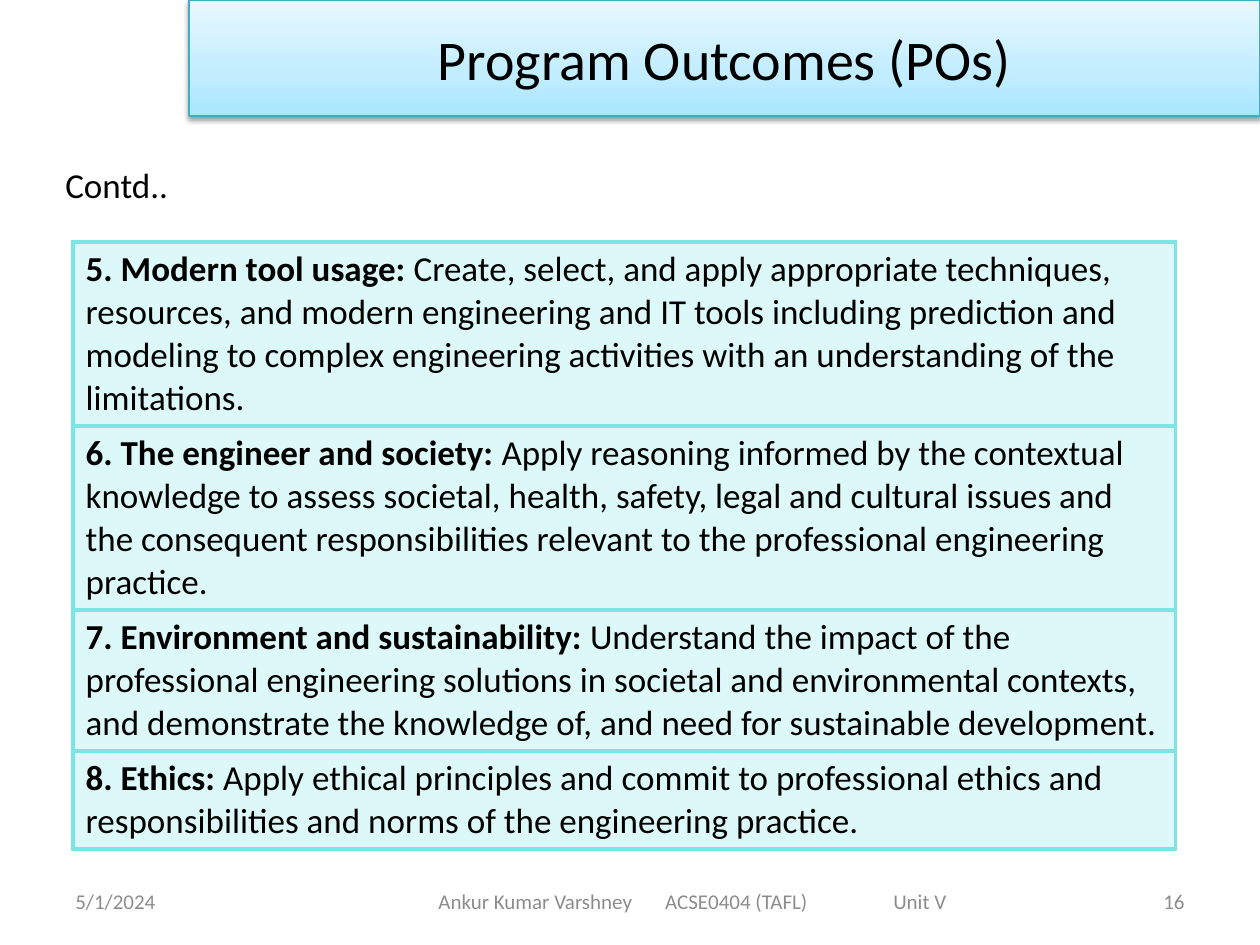
from lxml.etree import SubElement
from pptx import Presentation
from pptx.dml.color import RGBColor
from pptx.enum.text import MSO_ANCHOR as Anchor, MSO_AUTO_SIZE as AutoSize, PP_ALIGN as Align
from pptx.oxml import parse_xml
from pptx.oxml.ns import nsdecls, qn
from pptx.util import Inches, Pt

COLORS = {"text": "000000", "footer": "8C8C8C", "cell": "7BE5E5", "banner_line": "46AAC5"}
BANNER_STOPS = [(0, "A7E6FF"), (35, "C1EDFF"), (100, "E7F8FF")]
LINE_HEIGHT, CELL_PADDING = 0.34, 0.1

# Heading, description and number of text lines of each outcome
OUTCOMES = [
    ("5. Modern tool usage: ",
     "Create, select, and apply appropriate techniques, resources, and modern engineering "
     "and IT tools including prediction and modeling to complex engineering activities with "
     "an understanding of the limitations.", 4),
    ("6. The engineer and society:",
     " Apply reasoning informed by the contextual knowledge to assess societal, health, "
     "safety, legal and cultural issues and the consequent responsibilities relevant to the "
     "professional engineering practice.", 4),
    ("7. Environment and sustainability: ",
     "Understand the impact of the professional engineering solutions in societal and "
     "environmental contexts, and demonstrate the knowledge of, and need for sustainable "
     "development.", 3),
    ("8. Ethics:",
     " Apply ethical principles and commit to professional ethics and responsibilities and "
     "norms of the engineering practice.", 2),
]


class SlideBuilder:
    def __init__(self, page, font="Calibri"):
        self.page = page
        self.font = font

    def style(self, para, size, color="text", align=Align.LEFT):
        para.alignment = align
        para.font.name = self.font
        para.font.size = Pt(size)
        para.font.color.rgb = RGBColor.from_string(COLORS[color])

    def banner(self, text, left, top, width, height):
        """Turn the title placeholder into a gradient banner with a soft shadow."""
        title = self.page.shapes.title
        title.left, title.top = Inches(left), Inches(top)
        title.width, title.height = Inches(width), Inches(height)
        stops = "".join(f'<a:gs pos="{pos * 1000}"><a:srgbClr val="{color}"/></a:gs>'
                        for pos, color in BANNER_STOPS)
        title.line.color.rgb = RGBColor.from_string(COLORS["banner_line"])
        title.line.width = Pt(0.75)
        properties = title.element.spPr
        properties.find(qn("a:ln")).addprevious(parse_xml(
            f'<a:gradFill {nsdecls("a")} rotWithShape="1"><a:gsLst>{stops}</a:gsLst>'
            '<a:lin ang="16200000" scaled="0"/></a:gradFill>'))
        properties.append(parse_xml(
            f'<a:effectLst {nsdecls("a")}><a:outerShdw blurRad="{Pt(3.1)}" dist="{Pt(1.6)}" '
            'dir="5400000" rotWithShape="0"><a:srgbClr val="000000"><a:alpha val="38000"/>'
            '</a:srgbClr></a:outerShdw></a:effectLst>'))
        frame = title.text_frame
        frame.text = text
        frame.auto_size = AutoSize.NONE
        frame.vertical_anchor = Anchor.MIDDLE
        self.style(frame.paragraphs[0], 32, align=Align.CENTER)

    def label(self, text, left, top, width, height, size, color="text", align=Align.LEFT,
              anchor=Anchor.TOP, wrap=True, inset=0.1, tabs=()):
        box = self.page.shapes.add_textbox(*map(Inches, (left, top, width, height)))
        frame = box.text_frame
        frame.word_wrap = wrap
        frame.auto_size = AutoSize.NONE if wrap else AutoSize.SHAPE_TO_FIT_TEXT
        frame.vertical_anchor = anchor
        frame.margin_left = Inches(inset)
        para = frame.paragraphs[0]
        para.text = text
        if tabs:
            tab_list = SubElement(para._p.get_or_add_pPr(), qn("a:tabLst"))
            for position in tabs:
                SubElement(tab_list, qn("a:tab"), pos=str(Inches(position)), algn="l")
        self.style(para, size, color, align)

    def outcome_table(self, outcomes, left, top, width):
        heights = [lines * LINE_HEIGHT + CELL_PADDING for *_, lines in outcomes]
        table = self.page.shapes.add_table(
            len(outcomes), 1, *map(Inches, (left, top, width, sum(heights)))).table
        table.first_row = table.horz_banding = False
        for row, height, (heading, description, _) in zip(table.rows, heights, outcomes):
            row.height = Inches(height)
            cell = row.cells[0]
            para = cell.text_frame.paragraphs[0]
            for text, bold in ((heading, True), (description, False)):
                span = para.add_run()
                span.text = text
                span.font.bold = bold
            self.style(para, 20)
            self.paint_cell(cell)

    def paint_cell(self, cell):
        """Give a cell its translucent fill and its solid borders."""
        cell.fill.solid()
        cell.fill.fore_color.rgb = RGBColor.from_string(COLORS["cell"])
        properties = cell._tc.get_or_add_tcPr()
        SubElement(properties.find(".//" + qn("a:srgbClr")), qn("a:alpha"), val="25000")
        for index, side in enumerate("LRTB"):
            properties.insert(index, parse_xml(
                f'<a:ln{side} {nsdecls("a")} w="{Pt(2.25)}"><a:solidFill>'
                f'<a:srgbClr val="{COLORS["cell"]}"/></a:solidFill></a:ln{side}>'))

    def footer(self, text, left, width, **options):
        self.label(text, left, 6.95, width, 0.4, 12, "footer", anchor=Anchor.MIDDLE, **options)


def main():
    deck = Presentation()
    deck.slide_width, deck.slide_height = Inches(10), Inches(7.5)
    builder = SlideBuilder(deck.slides.add_slide(deck.slide_layouts[5]))
    builder.banner("Program Outcomes (POs)", 1.5, 0, 8.5, 0.92)
    builder.label("Contd..", 0.42, 1.25, 1.02, 0.44, 20, wrap=False)
    builder.outcome_table(OUTCOMES, 0.58, 1.92, 8.75)
    builder.footer("5/1/2024", 0.5, 2.33)
    builder.footer("Ankur Kumar Varshney\tACSE0404 (TAFL)\tUnit V", 2.75, 5.5,
                   inset=0.73, tabs=(1.8, 3.61))
    builder.footer("16", 7.17, 2.33, align=Align.RIGHT)
    deck.save("out.pptx")


if __name__ == "__main__":
    main()
